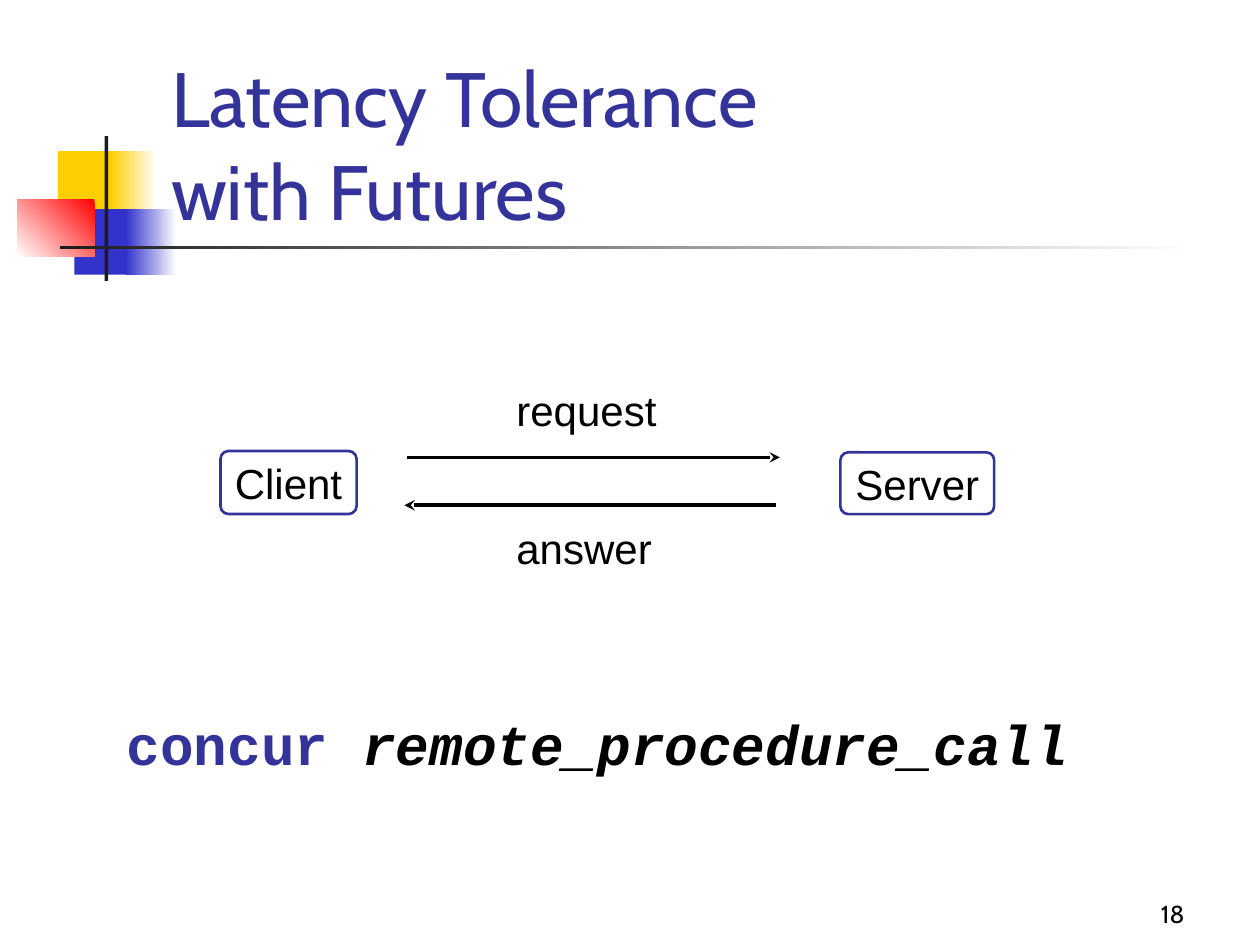
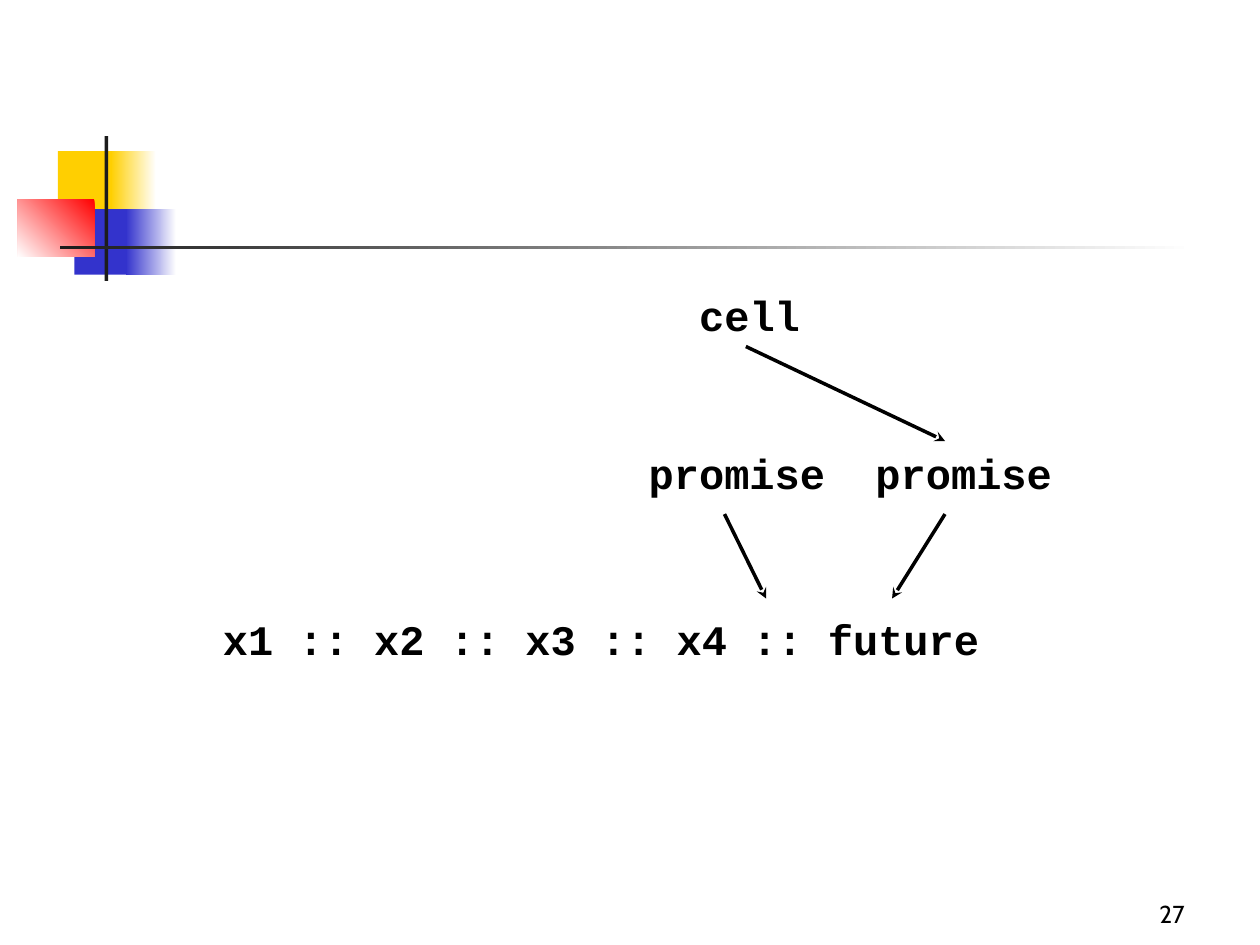
from lxml import etree
from pptx import Presentation
from pptx.dml.color import RGBColor
from pptx.enum.shapes import MSO_CONNECTOR, MSO_SHAPE
from pptx.enum.text import MSO_ANCHOR, PP_ALIGN
from pptx.oxml.ns import qn
from pptx.util import Pt

RECTANGLE = MSO_SHAPE.RECTANGLE
ROUNDED = MSO_SHAPE.ROUNDED_RECTANGLE
STRAIGHT = MSO_CONNECTOR.STRAIGHT
TOP, MIDDLE, BOTTOM = MSO_ANCHOR.TOP, MSO_ANCHOR.MIDDLE, MSO_ANCHOR.BOTTOM
LEFT, CENTER, RIGHT = PP_ALIGN.LEFT, PP_ALIGN.CENTER, PP_ALIGN.RIGHT

EMU_PER_PX = 9144
WHITE, BLACK, CHARCOAL = "FFFFFF", "000000", "1C1C1C"
NAVY, BLUE, YELLOW, RED = "333399", "3333CC", "FFCF01", "FF0000"

TITLE = {"name": "Cabin", "size": Pt(44), "color": NAVY}
NUMBER = {"name": "Cabin", "size": Pt(14), "color": BLACK}
LABEL = {"name": "Arial", "size": Pt(24), "color": BLACK}
CODE = {"name": "Courier New", "size": Pt(24), "color": BLACK, "bold": True}
KEYWORD = {**CODE, "size": Pt(32), "color": NAVY}
ARGUMENT = {**KEYWORD, "color": BLACK, "italic": True}

DECORATION = [
    ((46, 120, 48, 52), [YELLOW], 0),
    ((88, 120, 36, 52), [WHITE, YELLOW], 180),
    ((59, 166, 46, 52), [BLUE], 0),
    ((100, 166, 40, 52), [WHITE, BLUE], 180),
    ((14, 158, 61, 46), [RED, WHITE], 225),
    ((83, 108, 3, 115), [CHARCOAL], 0),
    ((48, 195, 900, 3), [WHITE, CHARCOAL], 180),
]


def px(*lengths):
    return [length * EMU_PER_PX for length in lengths]


def rgb(color):
    return RGBColor.from_string(color)


def add_run(paragraph, text, style):
    run = paragraph.add_run()
    run.text = text
    for attribute, value in style.items():
        if attribute == "color":
            run.font.color.rgb = rgb(value)
        else:
            setattr(run.font, attribute, value)


def add_text(slide, box, pieces, align=LEFT, anchor=TOP):
    frame = slide.shapes.add_textbox(*px(*box)).text_frame
    frame.word_wrap = True
    frame.vertical_anchor = anchor
    paragraph = frame.paragraphs[0]
    paragraph.alignment = align
    for text, style in pieces:
        for index, line in enumerate(text.split("\n")):
            if index:
                paragraph.add_line_break()
            add_run(paragraph, line, style)


def add_band(slide, box, colors, angle):
    shape = slide.shapes.add_shape(RECTANGLE, *px(*box))
    shape.shadow.inherit = False
    shape.line.fill.background()
    if len(colors) == 1:
        shape.fill.solid()
        shape.fill.fore_color.rgb = rgb(colors[0])
        return
    shape.fill.gradient()
    shape.fill.gradient_angle = angle
    for stop, color in zip(shape.fill.gradient_stops, colors):
        stop.color.rgb = rgb(color)


def add_node(slide, box, text):
    shape = slide.shapes.add_shape(ROUNDED, *px(*box))
    shape.adjustments[0] = 0.125
    shape.shadow.inherit = False
    shape.fill.background()
    shape.line.color.rgb = rgb(NAVY)
    shape.line.width = Pt(1.5)
    frame = shape.text_frame
    frame.word_wrap = False
    frame.vertical_anchor = MIDDLE
    frame.paragraphs[0].alignment = CENTER
    add_run(frame.paragraphs[0], text, LABEL)


def add_arrow(slide, start, end):
    connector = slide.shapes.add_connector(STRAIGHT, *px(*start, *end))
    connector.line.color.rgb = rgb(BLACK)
    connector.line.width = Pt(2)
    properties = connector._element.spPr
    etree.SubElement(properties.find(qn("a:ln")), qn("a:tailEnd"), type="stealth")
    etree.SubElement(properties, qn("a:effectLst"))


def add_base_slide(presentation, number):
    slide = presentation.slides.add_slide(presentation.slide_layouts[6])
    for box, colors, angle in DECORATION:
        add_band(slide, box, colors, angle)
    add_text(slide, (742, 692, 208, 50), [(number, NUMBER)], RIGHT, BOTTOM)
    return slide


def build_futures_slide(presentation):
    slide = add_base_slide(presentation, "18")
    title = "Latency Tolerance\nwith Futures"
    add_text(slide, (126, 67, 852, 125), [(title, TITLE)], anchor=BOTTOM)
    add_node(slide, (175, 358, 108, 50), "Client")
    add_node(slide, (667, 359, 122, 49), "Server")
    add_arrow(slide, (323, 363), (619, 363))
    add_arrow(slide, (616, 401), (321, 401))
    for top, text in ((300, "request"), (410, "answer")):
        add_text(slide, (400, top, 159, 50), [(text, LABEL)])
    call = [("concur ", KEYWORD), ("remote_procedure_call", ARGUMENT)]
    add_text(slide, (33, 558, 883, 75), call, CENTER)


def build_promise_slide(presentation):
    slide = add_base_slide(presentation, "27")
    labels = [
        ((167, 482, 658, 50), "x1 :: x2 :: x3 :: x4 :: future"),
        ((505, 350, 170, 50), "promise"),
        ((685, 350, 170, 50), "promise"),
        ((545, 225, 142, 50), "cell"),
    ]
    for box, text in labels:
        add_text(slide, box, [(text, CODE)])
    add_arrow(slide, (592, 275), (750, 350))
    add_arrow(slide, (750, 408), (708, 475))
    add_arrow(slide, (575, 408), (608, 475))


def main():
    presentation = Presentation()
    presentation.slide_width, presentation.slide_height = px(1000, 750)
    build_futures_slide(presentation)
    build_promise_slide(presentation)
    presentation.save("out.pptx")


if __name__ == "__main__":
    main()
